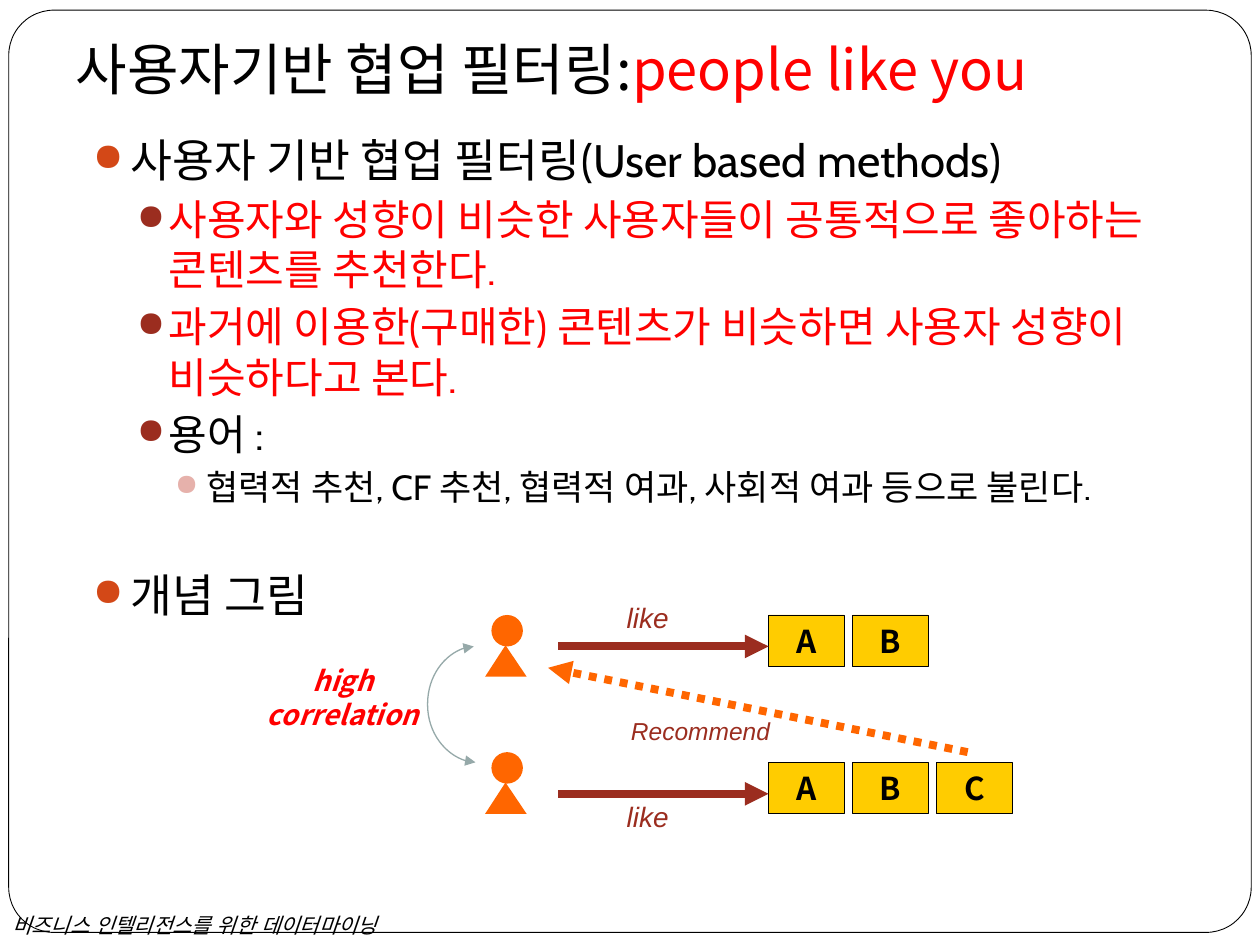
from lxml.etree import SubElement
from pptx import Presentation
from pptx.dml.color import RGBColor
from pptx.enum.dml import MSO_LINE
from pptx.enum.shapes import MSO_CONNECTOR, MSO_SHAPE
from pptx.enum.text import MSO_ANCHOR, PP_ALIGN
from pptx.oxml.ns import qn
from pptx.util import Pt

BLACK, WHITE, RED = "000000", "FFFFFF", "FF0000"
ORANGE, YELLOW, BROWN, GRAY = "FF6600", "FFCC00", "9B2D1F", "96A9A9"
SANS, BODY, LABEL = "Noto Sans CJK KR", "Cabin", "Arial"

# Per outline level: left margin, hanging indent, space before, bullet colour
LEVELS = [
    (21.6, 21.6, 5.8, "D34817"),
    (43.2, 18, 3.8, BROWN),
    (64.8, 18, 3.8, "E6B1AB"),
]
# Level, size, colour, text
OUTLINE = [
    (0, 26, BLACK, "사용자 기반 협업 필터링(User based methods)"),
    (1, 24, RED, "사용자와 성향이 비슷한 사용자들이 공통적으로 좋아하는 콘텐츠를 추천한다."),
    (1, 24, RED, "과거에 이용한(구매한) 콘텐츠가 비슷하면 사용자 성향이 비슷하다고 본다."),
    (1, 24, BLACK, "용어 :"),
    (2, 20, BLACK, "협력적 추천, CF 추천, 협력적 여과, 사회적 여과 등으로 불린다."),
    (0, 26, BLACK, "개념 그림"),
]
# Person top, item top, "like" label top, liked items
USERS = [
    (351.4, 351.4, 339.8, "AB"),
    (429.8, 435.6, 453.6, "ABC"),
]


def rgb(value):
    return RGBColor.from_string(value)


def set_font(paragraph, name, size, color, bold=False, italic=False):
    """Format a whole paragraph, for Latin and East Asian letters alike."""
    font = paragraph.font
    font.size, font.bold, font.italic = Pt(size), bold, italic
    font.color.rgb = rgb(color)
    font.name = name
    SubElement(font._rPr, qn("a:ea"), typeface=name)


def paint(shape, fill, line=None):
    shape.shadow.inherit = False
    shape.fill.solid()
    shape.fill.fore_color.rgb = rgb(fill)
    if line:
        shape.line.color.rgb = rgb(line)
        shape.line.width = Pt(0.5)
    else:
        shape.line.fill.background()


def add_label(page, bounds, lines, name, size, color, wrap=True, bold=False):
    box = page.shapes.add_textbox(*map(Pt, bounds))
    frame = box.text_frame
    frame.word_wrap = wrap
    frame.text = "\n".join(lines)
    for paragraph in frame.paragraphs:
        paragraph.alignment = PP_ALIGN.CENTER if wrap else PP_ALIGN.LEFT
        set_font(paragraph, name, size, color, bold, italic=True)
    return box


def add_arrow(page, start, end, color, width, kind=MSO_CONNECTOR.STRAIGHT,
              both_ends=False):
    arrow = page.shapes.add_connector(kind, *map(Pt, start + end))
    arrow.line.color.rgb = rgb(color)
    arrow.line.width = Pt(width)
    line = arrow.line._get_or_add_ln()
    if both_ends:
        SubElement(line, qn("a:headEnd"), type="triangle")
    SubElement(line, qn("a:tailEnd"), type="triangle")
    SubElement(arrow.element.spPr, qn("a:effectLst"))
    return arrow


def add_bullet(paragraph, level):
    margin, hanging, before, color = LEVELS[level]
    paragraph.level = level
    paragraph.space_before = Pt(before)
    properties = paragraph._p.get_or_add_pPr()
    properties.set("marL", str(Pt(margin)))
    properties.set("indent", str(-Pt(hanging)))
    bullet_color = SubElement(properties, qn("a:buClr"))
    SubElement(bullet_color, qn("a:srgbClr"), val=color)
    SubElement(properties, qn("a:buSzPct"), val="85000")
    SubElement(properties, qn("a:buChar"), char="●")


def add_frame(page):
    """Put the rounded border and the footer behind the title."""
    border = page.shapes.add_shape(
        MSO_SHAPE.ROUNDED_RECTANGLE, Pt(5), Pt(5.8), Pt(710), Pt(527))
    border.adjustments[0] = 0.049
    paint(border, WHITE, BLACK)
    footer = add_label(page, (0, 517.7, 240.5, 21.6),
                       ["비즈니스 인텔리전스를 위한 데이터마이닝"],
                       LABEL, 12, BLACK, wrap=False)
    for shape in (border, footer):
        page.shapes.title.element.addprevious(shape.element)


def write_title(title):
    title.left, title.top, title.width, title.height = map(
        Pt, (36, 12.2, 648, 56.9))
    frame = title.text_frame
    frame.vertical_anchor = MSO_ANCHOR.MIDDLE
    frame.margin_left = frame.margin_right = frame.margin_bottom = Pt(7.2)
    frame.margin_top = Pt(3.6)
    paragraph = frame.paragraphs[0]
    paragraph.alignment = PP_ALIGN.LEFT
    set_font(paragraph, SANS, 32, BLACK)
    paragraph.add_run().text = "사용자기반 협업 필터링:"
    span = paragraph.add_run()
    span.text = "people like you"
    span.font.color.rgb = rgb(RED)


def add_outline(page):
    box = page.shapes.add_textbox(Pt(46), Pt(72), Pt(648), Pt(391))
    frame = box.text_frame
    frame.word_wrap = True
    frame.text = "\n".join(text for *_, text in OUTLINE)
    for paragraph, (level, size, color, _) in zip(frame.paragraphs, OUTLINE):
        add_bullet(paragraph, level)
        set_font(paragraph, BODY, size, color)
    frame.paragraphs[-1].space_before = Pt(34)


def add_person(page, top):
    head = page.shapes.add_shape(
        MSO_SHAPE.OVAL, Pt(280.8), Pt(top), Pt(18), Pt(18))
    paint(head, ORANGE)
    neck, feet = Pt(top + 17.3), Pt(top + 35.3)
    builder = page.shapes.build_freeform(Pt(288.9), neck)
    builder.add_line_segments([(Pt(277.2), feet), (Pt(301), feet)], close=True)
    paint(builder.convert_to_shape(), ORANGE)


def add_item(page, column, top, letter):
    item = page.shapes.add_shape(
        MSO_SHAPE.RECTANGLE, Pt(439.2 + 48 * column), Pt(top), Pt(43.2), Pt(29.5))
    paint(item, YELLOW, BLACK)
    frame = item.text_frame
    frame.margin_top = frame.margin_bottom = 0
    frame.vertical_anchor = MSO_ANCHOR.MIDDLE
    frame.text = letter
    paragraph = frame.paragraphs[0]
    paragraph.alignment = PP_ALIGN.CENTER
    set_font(paragraph, SANS, 18, BLACK, bold=True)


def add_diagram(page):
    for person_top, item_top, label_top, items in USERS:
        add_person(page, person_top)
        for column, letter in enumerate(items):
            add_item(page, column, item_top, letter)
        middle = item_top + 18
        add_arrow(page, (319, middle), (439.2, middle), BROWN, 4.5)
        add_label(page, (337, label_top, 66.2, 26.6), ["like"], LABEL, 16, BROWN)

    recommend = add_arrow(page, (553, 429.8), (313.2, 381.6), ORANGE, 4.5)
    recommend.line.dash_style = MSO_LINE.ROUND_DOT
    add_label(page, (349.2, 405.4, 102.2, 23.8), ["Recommend"], LABEL, 14, BROWN)

    similarity = add_arrow(page, (270.7, 369.4), (271.7, 435.6), GRAY, 0.75,
                           MSO_CONNECTOR.CURVE, both_ends=True)
    # The bulge is a multiple of the connector's width of one point.
    guides = similarity.element.spPr.find(qn("a:prstGeom")).get_or_add_avLst()
    SubElement(guides, qn("a:gd"), name="adj1", fmla="val -2660000")
    add_label(page, (139, 375.8, 113.8, 46), ["high", "correlation"],
              SANS, 16, RED, bold=True)


def main():
    deck = Presentation()
    deck.slide_width, deck.slide_height = Pt(720), Pt(540)
    page = deck.slides.add_slide(deck.slide_layouts[5])
    add_frame(page)
    write_title(page.shapes.title)
    add_outline(page)
    add_diagram(page)
    deck.save("out.pptx")


if __name__ == "__main__":
    main()
